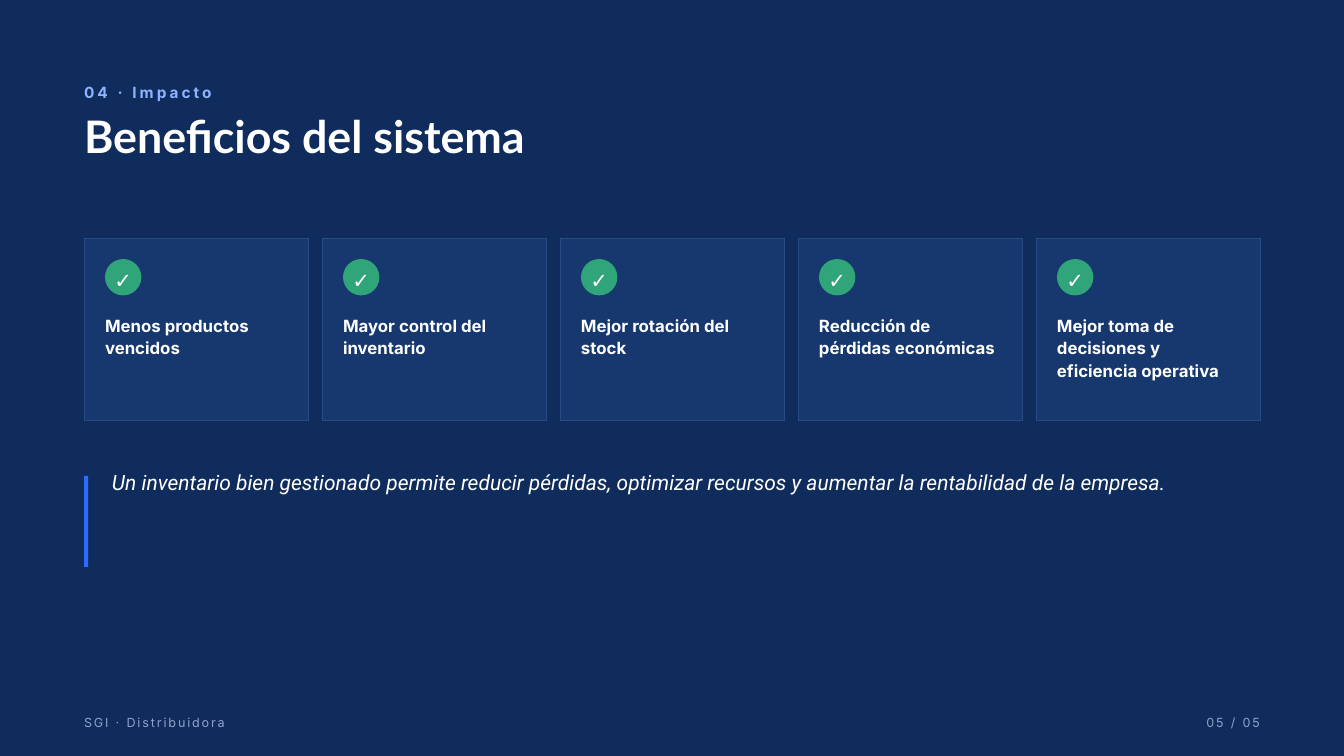
import dataclasses
from typing import Optional

import pptx
import pptx.dml.color
import pptx.enum.shapes
import pptx.enum.text
import pptx.util

PX = 9525
MARGIN = 120
CARD_TOP, CARD_W, CARD_H, CARD_GAP = 340, 320, 260, 20
PAD, BADGE = 30, 52

COLORS = {
    "background": "0F2C5C",
    "card": "16386F",
    "card_line": "2A4A85",
    "badge": "2FA579",
    "accent": "2F6BFF",
    "eyebrow": "8FB3FF",
    "footer": "8FA2C9",
    "white": "FFFFFF",
}
BENEFITS = [
    "Menos productos vencidos",
    "Mayor control del inventario",
    "Mejor rotación del stock",
    "Reducción de pérdidas económicas",
    "Mejor toma de decisiones y eficiencia operativa",
]
ALIGN = pptx.enum.text.PP_ALIGN
SHAPE = pptx.enum.shapes.MSO_SHAPE


@dataclasses.dataclass(frozen=True)
class Box:
    x: int
    y: int
    w: int
    h: int

    def emu(self) -> list[pptx.util.Emu]:
        return [pptx.util.Emu(v * PX) for v in (self.x, self.y, self.w, self.h)]


@dataclasses.dataclass(frozen=True)
class Style:
    font: str
    size: float
    leading: float
    color: str = "white"
    bold: bool = False
    italic: bool = False
    spacing: float = 0
    align: ALIGN = ALIGN.LEFT


EYEBROW = Style("Inter", 16.5, 23.1, "eyebrow", bold=True, spacing=3.3)
TITLE = Style("Lato", 48, 50.4, bold=True)
CHECK = Style("Lato", 22.5, 31.5, bold=True, align=ALIGN.CENTER)
BENEFIT = Style("Inter", 18, 24.3, bold=True)
QUOTE = Style("Roboto", 22.5, 30.4, italic=True)
FOOTER = Style("Inter", 13.5, 18.9, "footer", spacing=2)
PAGE = dataclasses.replace(FOOTER, align=ALIGN.RIGHT)


def rgb(name: str) -> pptx.dml.color.RGBColor:
    return pptx.dml.color.RGBColor.from_string(COLORS[name])


def write(sp, text: str, style: Style) -> None:
    tf = sp.text_frame
    tf.text = text
    tf.word_wrap = True
    tf.auto_size = pptx.enum.text.MSO_AUTO_SIZE.NONE
    tf.vertical_anchor = pptx.enum.text.MSO_ANCHOR.TOP
    tf.margin_left = tf.margin_top = tf.margin_right = tf.margin_bottom = 0
    p = tf.paragraphs[0]
    p.alignment = style.align
    p.line_spacing = pptx.util.Pt(style.leading)
    p.font.name = style.font
    p.font.size = pptx.util.Pt(style.size)
    p.font.bold = style.bold
    p.font.italic = style.italic
    p.font.color.rgb = rgb(style.color)
    if style.spacing:
        r = p.runs[0]
        r._r.get_or_add_rPr().set("spc", str(round(style.spacing * 100)))


def add_text(shapes, box: Box, text: str, style: Style) -> None:
    write(shapes.add_textbox(*box.emu()), text, style)


def add_block(shapes, kind: SHAPE, box: Box, fill: str, line: Optional[str] = None) -> None:
    sp = shapes.add_shape(kind, *box.emu())
    sp.shadow.inherit = False
    sp.fill.solid()
    sp.fill.fore_color.rgb = rgb(fill)
    if line:
        sp.line.color.rgb = rgb(line)
        sp.line.width = pptx.util.Pt(0.75)
    else:
        sp.line.fill.background()


def add_card(s, index: int, text: str) -> None:
    x = MARGIN + index * (CARD_W + CARD_GAP)
    left, top = x + PAD, CARD_TOP + PAD
    shapes = s.shapes.add_group_shape().shapes
    add_block(shapes, SHAPE.RECTANGLE, Box(x, CARD_TOP, CARD_W, CARD_H), "card", "card_line")
    add_block(shapes, SHAPE.OVAL, Box(left, top, BADGE, BADGE), "badge")
    add_text(shapes, Box(left, top + 6, BADGE, 40), "✓", CHECK)
    add_text(shapes, Box(left, 447, CARD_W - 2 * PAD, 95), text, BENEFIT)


def main() -> None:
    prs = pptx.Presentation()
    prs.slide_width, prs.slide_height = Box(0, 0, 1920, 1080).emu()[2:]
    s = prs.slides.add_slide(prs.slide_layouts[5])
    s.background.fill.solid()
    s.background.fill.fore_color.rgb = rgb("background")

    title = s.shapes.title
    title.left, title.top, title.width, title.height = Box(MARGIN, 165, 1400, 69).emu()
    write(title, "Beneficios del sistema", TITLE)
    add_text(s.shapes, Box(MARGIN, 115, 600, 31), "04 · Impacto", EYEBROW)

    for i, text in enumerate(BENEFITS):
        add_card(s, i, text)

    add_block(s.shapes, SHAPE.RECTANGLE, Box(MARGIN, 680, 6, 130), "accent")
    add_text(
        s.shapes,
        Box(160, 666, 1600, 80),
        "Un inventario bien gestionado permite reducir pérdidas, optimizar recursos "
        "y aumentar la rentabilidad de la empresa.",
        QUOTE,
    )
    add_text(s.shapes, Box(MARGIN, 1018, 400, 23), "SGI · Distribuidora", FOOTER)
    add_text(s.shapes, Box(1400, 1018, 400, 23), "05 / 05", PAGE)
    prs.save("out.pptx")


if __name__ == "__main__":
    main()
